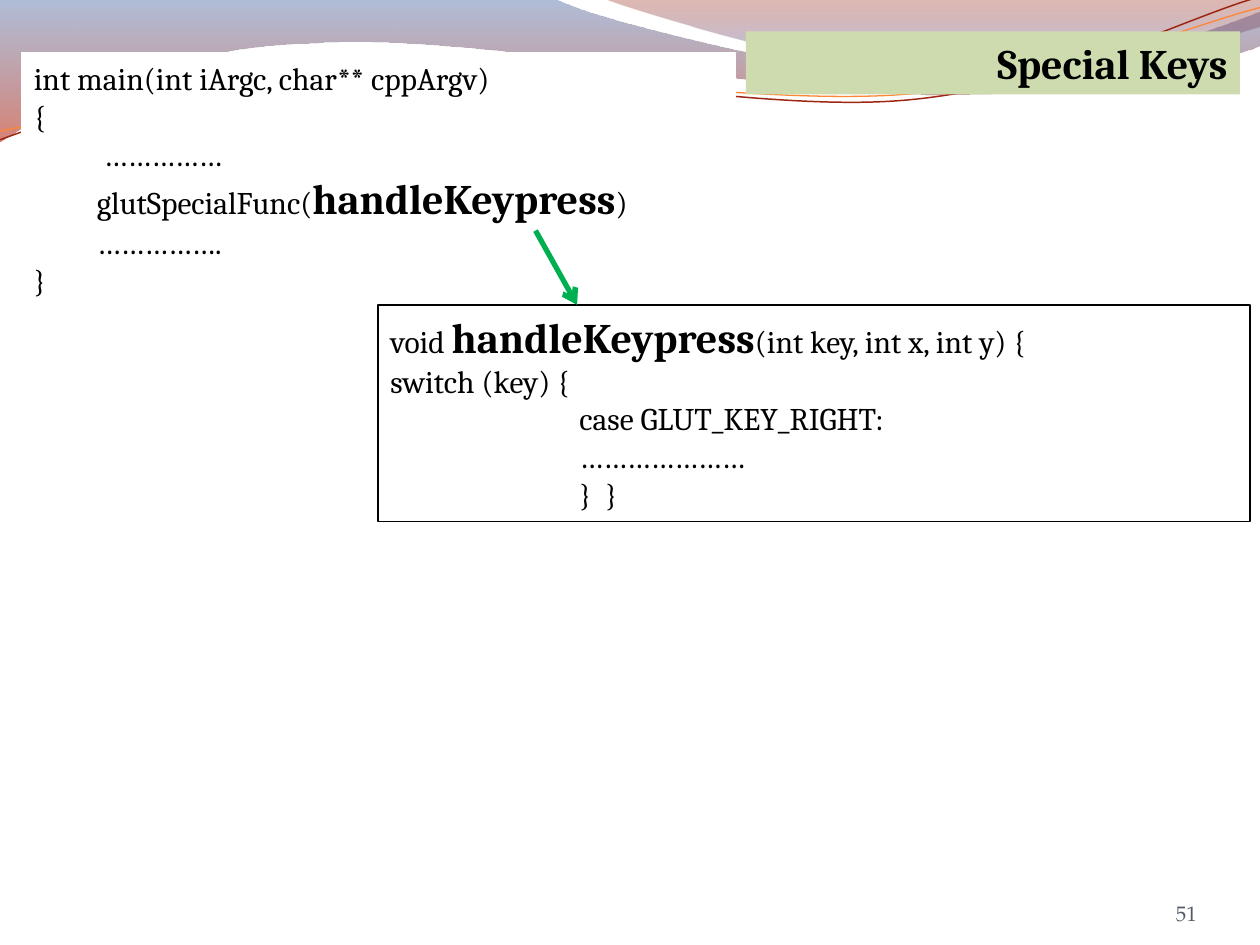
from lxml import etree
from pptx import Presentation
from pptx.dml.color import RGBColor
from pptx.enum.shapes import MSO_CONNECTOR, MSO_SHAPE
from pptx.enum.text import MSO_ANCHOR, MSO_AUTO_SIZE, PP_ALIGN
from pptx.oxml.ns import qn
from pptx.util import Inches, Pt

RECT, STRAIGHT = MSO_SHAPE.RECTANGLE, MSO_CONNECTOR.STRAIGHT
TOP, BOTTOM = MSO_ANCHOR.TOP, MSO_ANCHOR.BOTTOM
LEFT, RIGHT = PP_ALIGN.LEFT, PP_ALIGN.RIGHT
GROW, FIXED = MSO_AUTO_SIZE.SHAPE_TO_FIT_TEXT, MSO_AUTO_SIZE.NONE

COLORS = {
    "black": "000000", "white": "FFFFFF", "title": "CDDBAF", "number": "535B68",
    "arrow": "00B050", "red_line": "9E2713", "orange_line": "FE8637",
    "blue": "4F6EA8", "red": "B61A00", "dark_red": "951500", "light_blue": "5681D1",
}
RGB = {name: RGBColor.from_string(value) for name, value in COLORS.items()}

prs = Presentation()
prs.slide_width, prs.slide_height = Inches(10), Inches(7.5)
s = prs.slides.add_slide(prs.slide_layouts[6])


def add_text(box, paragraphs, font="Cambria", size=18, color="black",
             align=LEFT, anchor=TOP, inset=None, autosize=GROW):
    """Fill a box from (level, runs) pairs; a run is (text, emphasised)."""
    tf = box.text_frame
    tf.word_wrap, tf.auto_size, tf.vertical_anchor = True, autosize, anchor
    if inset is not None:
        tf.margin_left = tf.margin_right = tf.margin_top = tf.margin_bottom = inset
    for i, (level, runs) in enumerate(paragraphs):
        p = tf.add_paragraph() if i else tf.paragraphs[0]
        p.alignment, p.level = align, level
        pPr = p._p.get_or_add_pPr()
        pPr.set("marL", str(Inches(0.5 * level)))
        pPr.set("indent", "0")
        for text, emphasised in runs:
            r = p.add_run()
            r.text = text
            r.font.name = font
            r.font.size = Pt(24 if emphasised else size)
            r.font.bold = emphasised
            r.font.color.rgb = RGB[color]


def add_curve(start, segments, closed):
    """Outline through segments of one point (line) or three (cubic Bezier)."""
    fb = s.shapes.build_freeform(Inches(start[0]), Inches(start[1]))
    fb.add_line_segments([(Inches(x), Inches(y)) for seg in segments for x, y in seg],
                         close=closed)
    sp = fb.convert_to_shape()
    sp.shadow.inherit = False
    # Turn each run of three line points into one Bezier segment
    lines = iter(list(sp._element.spPr.iter(qn("a:lnTo"))))
    for seg in segments:
        group = [next(lines) for _ in seg]
        if len(group) == 3:
            bezier = etree.Element(qn("a:cubicBezTo"))
            group[0].addprevious(bezier)
            for line_to in group:
                bezier.append(line_to[0])
                line_to.getparent().remove(line_to)
    return sp


# Gradient waves across the top: start, segments, (position, colour, opacity) stops
waves = [
    ((0, 0),
     [[(4.4, -0.01)],
      [(4.76, 0.17), (6.64, 0.63), (7.58, 0.63)],
      [(8.53, 0.63), (9.58, 0.26), (10, 0.09)],
      [(10.01, 0.36)],
      [(9.83, 0.44), (8.7, 0.76), (7.46, 0.75)],
      [(6.22, 0.75), (3.82, 0.28), (2.57, 0.34)],
      [(1.29, 0.36), (0.46, 0.83), (-0.01, 1.13)]],
     [(0, "blue", 45), (1, "red", 55)]),
    ((4.79, -0.01),
     [[(5.09, 0.11), (6.82, 0.62), (7.69, 0.65)],
      [(8.56, 0.69), (9.61, 0.32), (10, 0.21)],
      [(10, 0)]],
     [(0, "dark_red", 30), (0.8, "light_blue", 45)]),
]
for start, segments, stops in waves:
    sp = add_curve(start, segments, True)
    sp.line.fill.background()
    sp.fill.gradient()
    sp.fill.gradient_angle = 270
    for stop, (position, color, _) in zip(sp.fill.gradient_stops, stops):
        stop.position = position
        stop.color.rgb = RGB[color]
    for clr, (_, _, opacity) in zip(sp._element.spPr.iter(qn("a:srgbClr")), stops):
        etree.SubElement(clr, qn("a:alpha")).set("val", str(opacity * 1000))

# Thin wave lines
wave_lines = [
    ((0, 1.11),
     [[(0.48, 0.93), (1.58, 0.57), (2.77, 0.52)],
      [(3.95, 0.47), (5.93, 0.89), (7.13, 0.8)],
      [(8.33, 0.71), (9.38, 0.15), (9.98, -0.02)]], "red_line", 0.85),
    ((0, 1.04),
     [[(0.47, 0.96), (1.64, 0.61), (2.83, 0.56)],
      [(4.03, 0.51), (5.97, 0.84), (7.17, 0.75)],
      [(8.36, 0.67), (9.41, 0.21), (10, 0.06)]], "orange_line", 0.75),
]
for start, segments, color, width in wave_lines:
    sp = add_curve(start, segments, False)
    sp.fill.background()
    sp.line.color.rgb = RGB[color]
    sp.line.width = Pt(width)

# Page number
number = s.shapes.add_textbox(Inches(8.67), Inches(6.95), Inches(0.83), Inches(0.4))
add_text(number, [(0, [("51", False)])], font="TeX Gyre Pagella", size=12,
         color="number", align=RIGHT, anchor=BOTTOM, inset=0, autosize=FIXED)

# Code boxes and title: position, fill, line, paragraphs, alignment
main_code = [
    (0, [("int main(int iArgc, char** cppArgv)", False)]),
    (0, [("{", False)]),
    (1, [(" ……………", False)]),
    (1, [("glutSpecialFunc(", False), ("handleKeypress", True), (")", False)]),
    (1, [("…………….", False)]),
    (0, [("}", False)]),
]
handler_code = [
    (0, [("void ", False), ("handleKeypress", True),
         ("(int key, int x, int y) {", False)]),
    (0, [("switch (key) {", False)]),
    (3, [("case GLUT_KEY_RIGHT:", False)]),
    (3, [("…………………", False)]),
    (3, [("}  }", False)]),
]
title = [(0, [("Special Keys", True)])]
boxes = [
    ((0.17, 0.42, 5.67, 2.02), "white", "white", main_code, LEFT),
    ((3, 2.42, 6.92, 1.72), None, "black", handler_code, LEFT),
    ((5.92, 0.25, 3.92, 0.5), "title", None, title, RIGHT),
]
for position, fill, line, paragraphs, align in boxes:
    sp = s.shapes.add_shape(RECT, *map(Inches, position))
    sp.shadow.inherit = False
    if fill:
        sp.fill.solid()
        sp.fill.fore_color.rgb = RGB[fill]
    else:
        sp.fill.background()
    if line:
        sp.line.color.rgb = RGB[line]
        sp.line.width = Pt(0.75)
    else:
        sp.line.fill.background()
    add_text(sp, paragraphs, align=align)

# Arrow from the registered name to its handler
arrow = s.shapes.add_connector(STRAIGHT, Inches(4.25), Inches(1.83),
                               Inches(4.58), Inches(2.42))
arrow.line.color.rgb = RGB["arrow"]
arrow.line.width = Pt(3)
etree.SubElement(arrow.line._get_or_add_ln(), qn("a:tailEnd")).set("type", "arrow")
etree.SubElement(arrow._element.spPr, qn("a:effectLst"))

prs.save("out.pptx")
